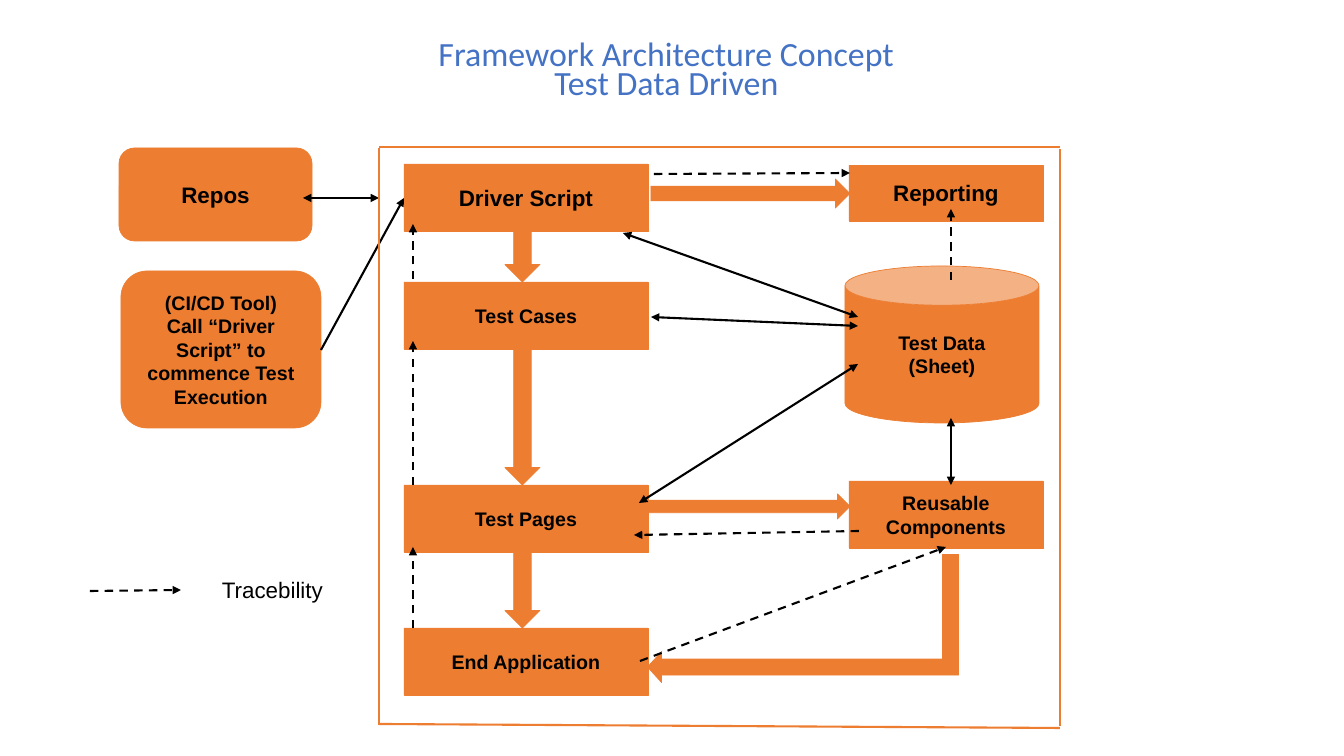
from dataclasses import dataclass

from lxml.etree import SubElement
from pptx import Presentation
from pptx.dml.color import RGBColor
from pptx.enum.dml import MSO_LINE_DASH_STYLE as Dash
from pptx.enum.shapes import MSO_CONNECTOR as Connector, MSO_SHAPE as Shape
from pptx.enum.text import MSO_ANCHOR as Anchor, MSO_AUTO_SIZE as AutoSize, PP_ALIGN as Align
from pptx.oxml.ns import qn
from pptx.util import Emu, Pt

EMU_PER_PIXEL = 914400 / 100.8


@dataclass(frozen=True)
class Theme:
    """Colours, fonts, type sizes and line widths of the slide."""
    orange: RGBColor = RGBColor.from_string("ED7D31")
    blue: RGBColor = RGBColor.from_string("4472C4")
    black: RGBColor = RGBColor.from_string("000000")
    title_font: str = "Calibri"
    body_font: str = "Arial"
    title_size: float = 24.2
    large: int = 16
    small: int = 14
    outline: float = 0.5
    stroke: float = 1.5


def px(*lengths):
    """Turn pixel lengths into EMU."""
    return [Emu(round(length * EMU_PER_PIXEL)) for length in lengths]


def write(frame, text, *, size, color, font, bold=False, align=Align.CENTER,
          anchor=Anchor.MIDDLE, inset=None, spacing=None, wrap=True):
    """Fill a text frame with one paragraph per line of text."""
    frame.auto_size = AutoSize.NONE
    frame.word_wrap = wrap
    frame.vertical_anchor = anchor
    if inset is not None:
        frame.margin_left, frame.margin_top, frame.margin_right, frame.margin_bottom = px(*[inset] * 4)
    frame.text = text
    for paragraph in frame.paragraphs:
        paragraph.alignment = align
        paragraph.line_spacing = spacing
        style = paragraph.runs[0].font
        style.name, style.size, style.bold = font, Pt(size), bold
        style.color.rgb = color


class Diagram:
    """Draws the elements of one slide in one style."""

    def __init__(self, slide, theme):
        """Keep the slide and its theme."""
        self.slide, self.theme = slide, theme

    def title(self, text, *bounds):
        """Place and format the title placeholder."""
        heading = self.slide.shapes.title
        heading.left, heading.top, heading.width, heading.height = px(*bounds)
        write(heading.text_frame, text, size=self.theme.title_size, color=self.theme.blue,
              font=self.theme.title_font, spacing=0.7)

    def block(self, kind, *bounds, text="", size=None):
        """Add an orange shape with optional bold text."""
        block = self.slide.shapes.add_shape(kind, *px(*bounds))
        block.shadow.inherit = False
        block.fill.solid()
        block.fill.fore_color.rgb = block.line.color.rgb = self.theme.orange
        block.line.width = Pt(self.theme.outline)
        if text:
            write(block.text_frame, text, size=size or self.theme.small, color=self.theme.black,
                  font=self.theme.body_font, bold=True, inset=5)
        return block

    def bent_arrow(self, *bounds, adjustments):
        """Add a bent arrow that runs down and then left."""
        arrow = self.block(Shape.BENT_UP_ARROW, *bounds)
        for index, value in enumerate(adjustments):
            arrow.adjustments[index] = value
        arrow.rotation = 270
        arrow._element.spPr.get_or_add_xfrm().set("flipH", "1")

    def line(self, *ends, color=None, dashed=False, heads=()):
        """Add a straight line with arrowheads at the named ends."""
        line = self.slide.shapes.add_connector(Connector.STRAIGHT, *px(*ends))
        line.line.color.rgb = color or self.theme.black
        line.line.width = Pt(self.theme.stroke)
        if dashed:
            line.line.dash_style = Dash.DASH
        for head in heads:
            SubElement(line.line._get_or_add_ln(), qn(f"a:{head}"), type="triangle")
        SubElement(line._element.spPr, qn("a:effectLst"))

    def label(self, text, *bounds):
        """Add plain text on one line."""
        box = self.slide.shapes.add_textbox(*px(*bounds))
        write(box.text_frame, text, size=self.theme.large, color=self.theme.black,
              font=self.theme.body_font, align=Align.LEFT, anchor=Anchor.TOP, wrap=False)


def main():
    """Build the slide and save it."""
    deck = Presentation()
    deck.slide_width, deck.slide_height = px(1344, 756)
    theme = Theme()
    diagram = Diagram(deck.slides.add_slide(deck.slide_layouts[5]), theme)
    diagram.title("Framework Architecture Concept\nTest Data Driven", 244, 35, 845, 75)

    stages = [("Driver Script", 164, theme.large), ("Test Cases", 282, theme.small),
              ("Test Pages", 485, theme.small), ("End Application", 628, theme.small)]
    for name, top, size in stages:
        diagram.block(Shape.RECTANGLE, 404, top, 244, 67, text=name, size=size)
    diagram.block(Shape.RECTANGLE, 849, 481, 194, 67, text="Reusable Components")
    diagram.block(Shape.RECTANGLE, 849, 165, 194, 56, text="Reporting", size=theme.large)
    diagram.block(Shape.CAN, 845, 266, 194, 157, text="Test Data\n(Sheet)")
    diagram.block(Shape.ROUNDED_RECTANGLE, 119, 148, 193, 93, text="Repos", size=theme.large)
    diagram.block(Shape.ROUNDED_RECTANGLE, 121, 271, 200, 157,
                  text="(CI/CD Tool)\nCall “Driver Script” to commence Test Execution")

    for (_, top, _), (_, next_top, _) in zip(stages, stages[1:]):
        diagram.block(Shape.DOWN_ARROW, 505, top + 67, 35, next_top - top - 67)
    diagram.block(Shape.RIGHT_ARROW, 640, 494, 210, 25)
    diagram.block(Shape.RIGHT_ARROW, 651, 179, 199, 29)
    diagram.bent_arrow(739, 463, 128, 311, adjustments=(0.125, 0.121, 0.11))

    traces = [(413, 628, 413, 547), (413, 485, 413, 341), (413, 279, 413, 224),
              (654, 174, 850, 173), (90, 591, 181, 590), (640, 661, 946, 547),
              (859, 531, 634, 535), (951, 280, 951, 209)]
    for trace in traces:
        diagram.line(*trace, dashed=True, heads=("tailEnd",))
    diagram.label("Tracebility", 212, 571, 101, 37)

    exchanges = [(623, 233, 858, 317), (651, 317, 858, 326), (639, 503, 858, 364),
                 (951, 418, 951, 485), (303, 198, 379, 198)]
    for exchange in exchanges:
        diagram.line(*exchange, heads=("headEnd", "tailEnd"))
    diagram.line(321, 350, 404, 198, heads=("tailEnd",))

    frame_sides = [(379, 148, 379, 725), (1060, 149, 1060, 726),
                   (1060, 728, 379, 724), (1060, 147, 379, 147)]
    for side in frame_sides:
        diagram.line(*side, color=theme.orange)

    deck.save("out.pptx")


main()
